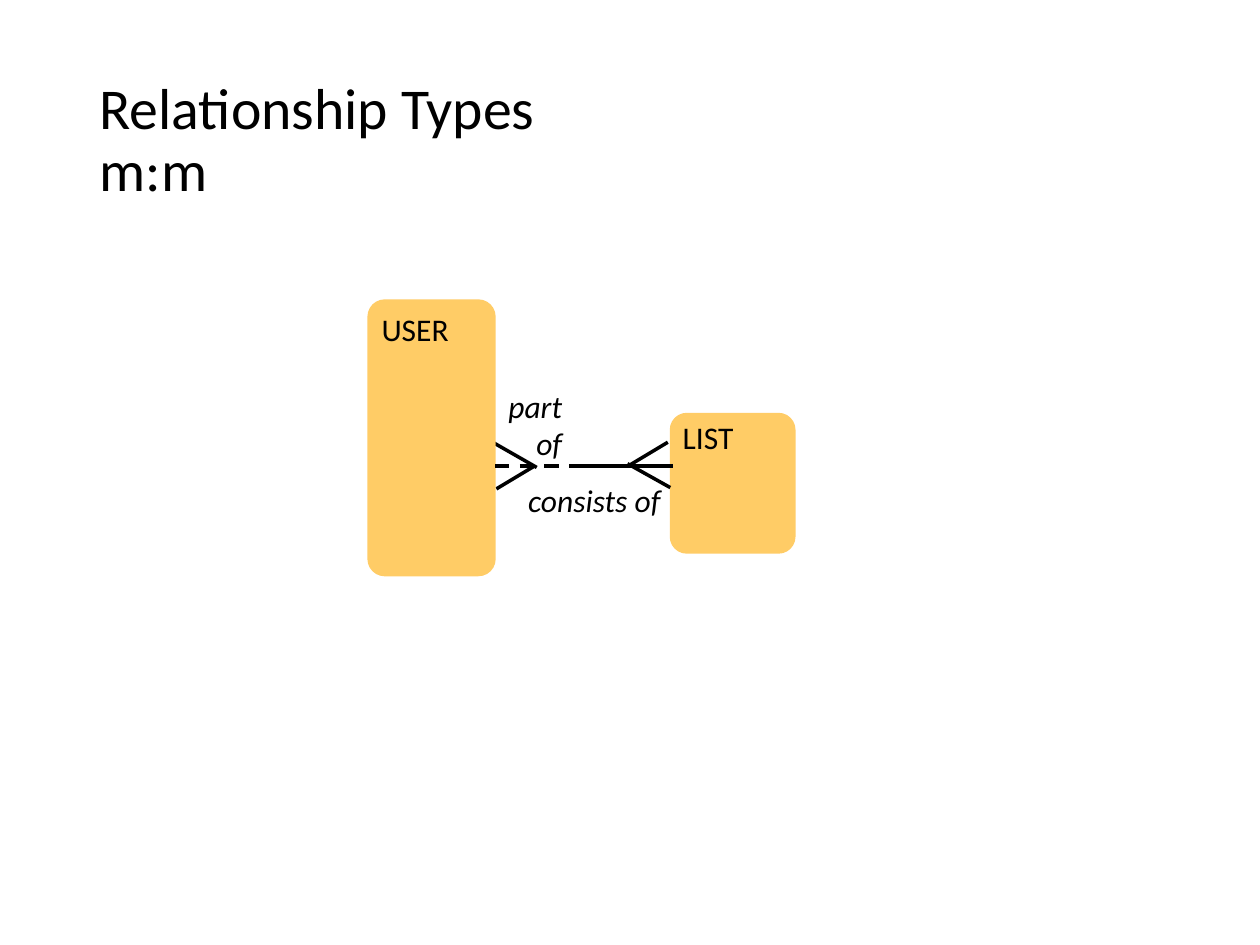
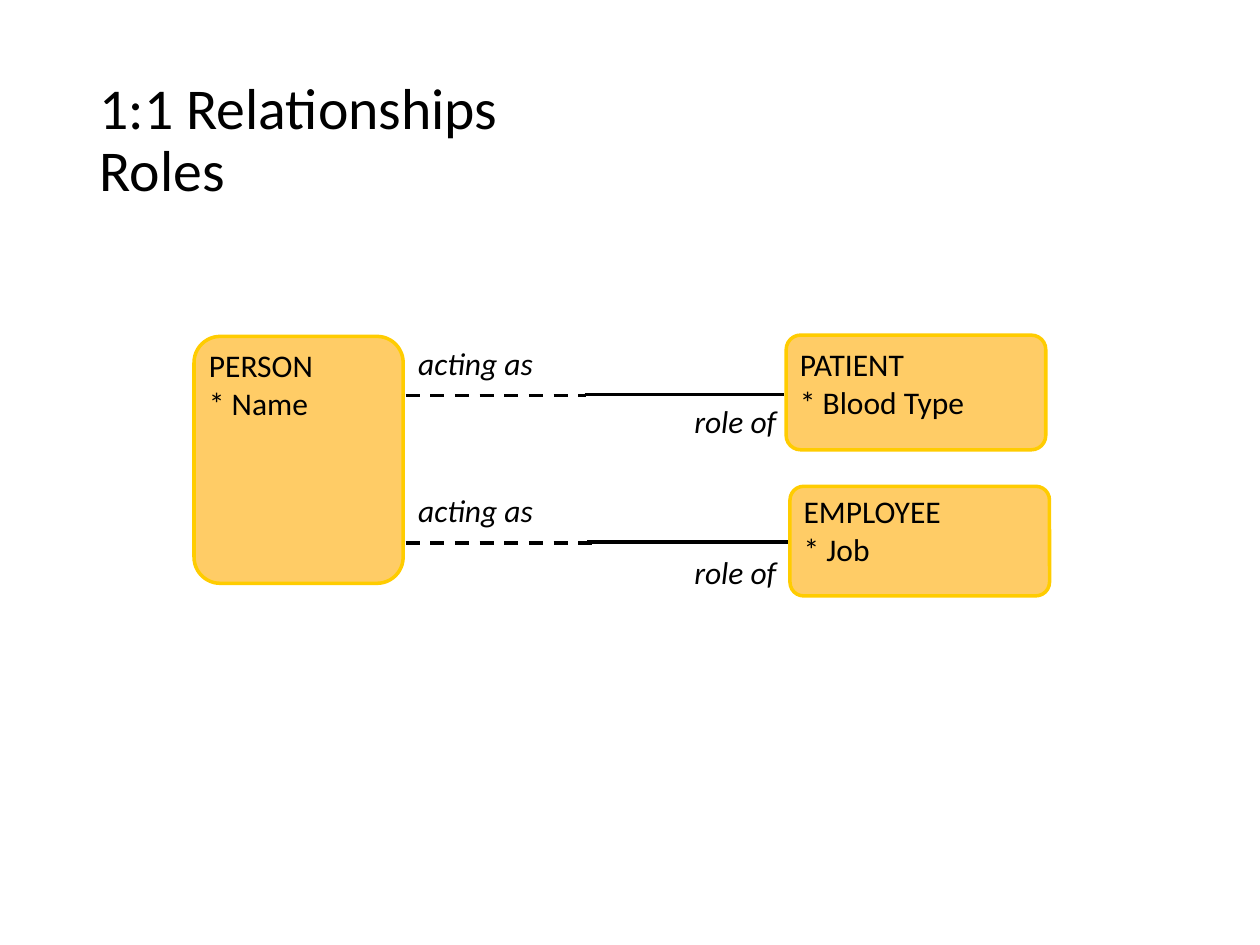
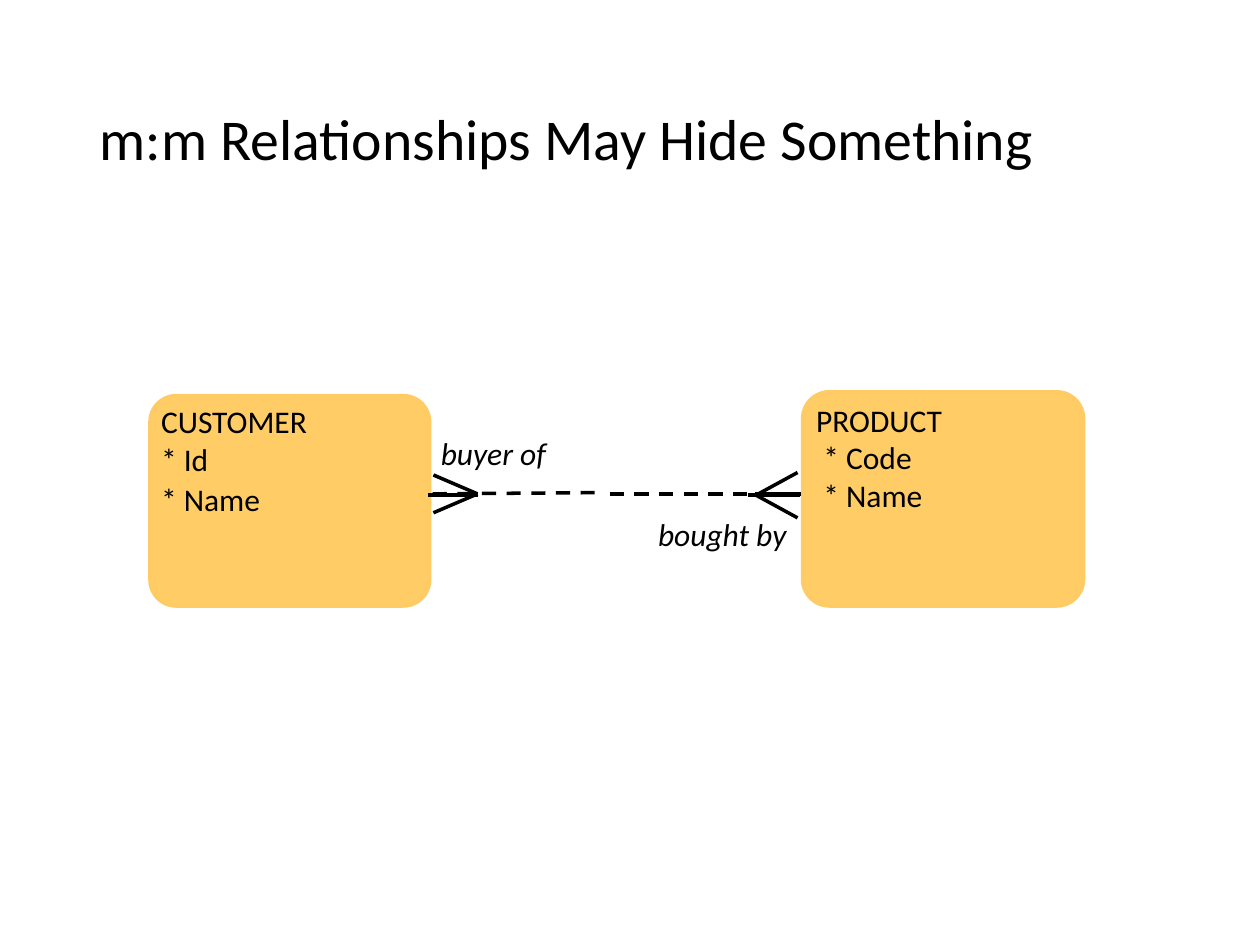
from copy import deepcopy

from lxml.etree import SubElement
from pptx import Presentation
from pptx.dml.color import RGBColor
from pptx.enum.dml import MSO_LINE
from pptx.enum.shapes import MSO_CONNECTOR, MSO_SHAPE
from pptx.enum.text import MSO_ANCHOR, MSO_AUTO_SIZE, PP_ALIGN
from pptx.oxml.ns import qn
from pptx.util import Inches, Pt

BLACK = RGBColor(0x00, 0x00, 0x00)
AMBER = RGBColor(0xFF, 0xCC, 0x66)
SOFT_AMBER = RGBColor(0xFF, 0xCB, 0x65)
GOLD = RGBColor(0xFF, 0xCC, 0x00)
FONT = "Calibri"
STROKE = Pt(2)
TITLE_BOX = (0.69, 0.4, 8.62, 1.45)


def inches(values):
    return [Inches(value) for value in values]


def style_paragraph(paragraph, size, align=PP_ALIGN.LEFT, italic=False):
    paragraph.alignment = align
    for run in paragraph.runs:
        font = run.font
        font.name, font.size, font.italic = FONT, Pt(size), italic
        font.color.rgb = BLACK
    for line_break in paragraph._p.findall(qn("a:br")):
        line_break.insert(0, deepcopy(paragraph.runs[0].font._element))


def add_titled_slide(deck, heading):
    slide = deck.slides.add_slide(deck.slide_layouts[5])
    title = slide.shapes.title
    title.left, title.top, title.width, title.height = inches(TITLE_BOX)
    frame = title.text_frame
    frame.text = heading
    frame.auto_size = MSO_AUTO_SIZE.NONE
    frame.vertical_anchor = MSO_ANCHOR.MIDDLE
    frame.paragraphs[0].line_spacing = 0.9
    style_paragraph(frame.paragraphs[0], 33)
    return slide


def add_label(slide, box, words, align=PP_ALIGN.LEFT, italic=False):
    frame = slide.shapes.add_textbox(*inches(box)).text_frame
    frame.word_wrap = True
    frame.auto_size = MSO_AUTO_SIZE.SHAPE_TO_FIT_TEXT
    frame.text = words
    for paragraph in frame.paragraphs:
        style_paragraph(paragraph, 18, align, italic)
    return frame


def add_role(slide, box, words, align=PP_ALIGN.LEFT, spacing=1.0):
    role = add_label(slide, box, words, align, italic=True)
    role.paragraphs[0].line_spacing = spacing


def add_entity(slide, box, words, edge, offset, label_size):
    left, top, width, height = box
    entity = slide.shapes.add_shape(MSO_SHAPE.ROUNDED_RECTANGLE, *inches(box))
    entity.adjustments[0] = 0.125
    entity.shadow.inherit = False
    entity.fill.solid()
    entity.fill.fore_color.rgb = AMBER
    entity.line.color.rgb = edge
    entity.line.width = STROKE
    label_box = (left + offset[0], top + offset[1], *label_size)
    return add_label(slide, label_box, words)


def add_line(shapes, start, end, dashed=False):
    line = shapes.add_connector(MSO_CONNECTOR.STRAIGHT, *inches(start + end))
    line.line.color.rgb = BLACK
    line.line.width = STROKE
    if dashed:
        line.line.dash_style = MSO_LINE.DASH
    SubElement(line._element.spPr, qn("a:effectLst"))


def add_crow_foot(slide, *toes):
    foot = slide.shapes.add_group_shape()
    for start, end in toes:
        add_line(foot.shapes, start, end)


def build_user_list(deck):
    slide = add_titled_slide(deck, "Relationship Types\vm:m")
    add_crow_foot(slide, ((3.91, 3.51), (4.26, 3.71)), ((3.94, 3.88), (4.24, 3.7)))
    add_entity(slide, (2.93, 2.39, 0.99, 2.17), "USER", AMBER, (0, 0.02), (1, 0.4))
    add_entity(slide, (5.33, 3.29, 0.97, 1.09), "LIST", AMBER, (-0.01, -0.02), (0.98, 0.4))
    add_role(slide, (4.09, 3.77, 1.25, 0.7), "consists of", PP_ALIGN.RIGHT)
    add_role(slide, (3.86, 3.02, 0.7, 0.7), "part of", PP_ALIGN.RIGHT)
    add_line(slide.shapes, (5.34, 3.7), (4.63, 3.7))
    add_line(slide.shapes, (3.93, 3.7), (4.64, 3.7), dashed=True)
    add_crow_foot(slide, ((5.32, 3.87), (4.98, 3.68)), ((5.3, 3.51), (5, 3.69)))


def build_person_roles(deck):
    slide = add_titled_slide(deck, "1:1 Relationships\vRoles")
    add_entity(slide, (1.54, 2.67, 1.66, 1.96), "PERSON\v* Name", GOLD, (0.02, 0.03), (1.61, 0.7))
    add_entity(slide, (6.24, 2.66, 2.06, 0.91), "PATIENT\v* Blood Type", GOLD, (0.01, 0.03), (2.04, 0.7))
    add_entity(slide, (6.27, 3.86, 2.06, 0.87), "EMPLOYEE\v* Job", GOLD, (0.01, 0), (2.1, 0.7))
    for y, dash_end, solid_start, solid_end, acting_top, role_top in (
        (3.14, 4.65, 4.64, 6.22, 2.68, 3.14),
        (4.31, 4.71, 4.66, 6.25, 3.85, 4.34),
    ):
        add_line(slide.shapes, (3.22, y), (dash_end, y), dashed=True)
        add_line(slide.shapes, (solid_start, y - 0.01), (solid_end, y - 0.01))
        add_role(slide, (3.22, acting_top, 1.72, 0.4), "acting as")
        add_role(slide, (5.14, role_top, 1.12, 0.4), "role of", PP_ALIGN.RIGHT)


def build_customer_product(deck):
    slide = add_titled_slide(deck, "m:m Relationships May Hide Something")
    customer = add_entity(slide, (1.19, 3.14, 2.22, 1.67), "CUSTOMER\v* Id\n* Name",
                          SOFT_AMBER, (-0.01, 0), (2.17, 1.03))
    customer.paragraphs[1].line_spacing = 0.6
    customer.paragraphs[1].space_before = Pt(9)
    add_entity(slide, (6.37, 3.11, 2.23, 1.7), "PRODUCT\v * Code\v * Name",
               SOFT_AMBER, (0.01, 0.02), (2.13, 1))
    add_line(slide.shapes, (4.84, 3.92), (6.37, 3.92), dashed=True)
    add_line(slide.shapes, (4.72, 3.91), (3.4, 3.92), dashed=True)
    add_crow_foot(slide, *(((3.44, y), (3.79, 3.92)) for y in (4.07, 3.77)))
    add_crow_foot(slide, ((6.33, 4.11), (6, 3.93)), ((6.33, 3.75), (6, 3.93)),
                  ((6.35, 3.93), (5.94, 3.93)))
    add_line(slide.shapes, (3.79, 3.93), (3.4, 3.93))
    add_line(slide.shapes, (6.36, 3.92), (5.99, 3.92))
    add_role(slide, (4.45, 4.07, 1.89, 0.37), "bought by", PP_ALIGN.RIGHT, 0.9)
    add_role(slide, (3.4, 3.43, 1.89, 0.37), "buyer of", spacing=0.9)


deck = Presentation()
deck.slide_width, deck.slide_height = Inches(10), Inches(7.5)
build_user_list(deck)
build_person_roles(deck)
build_customer_product(deck)
deck.save("out.pptx")
